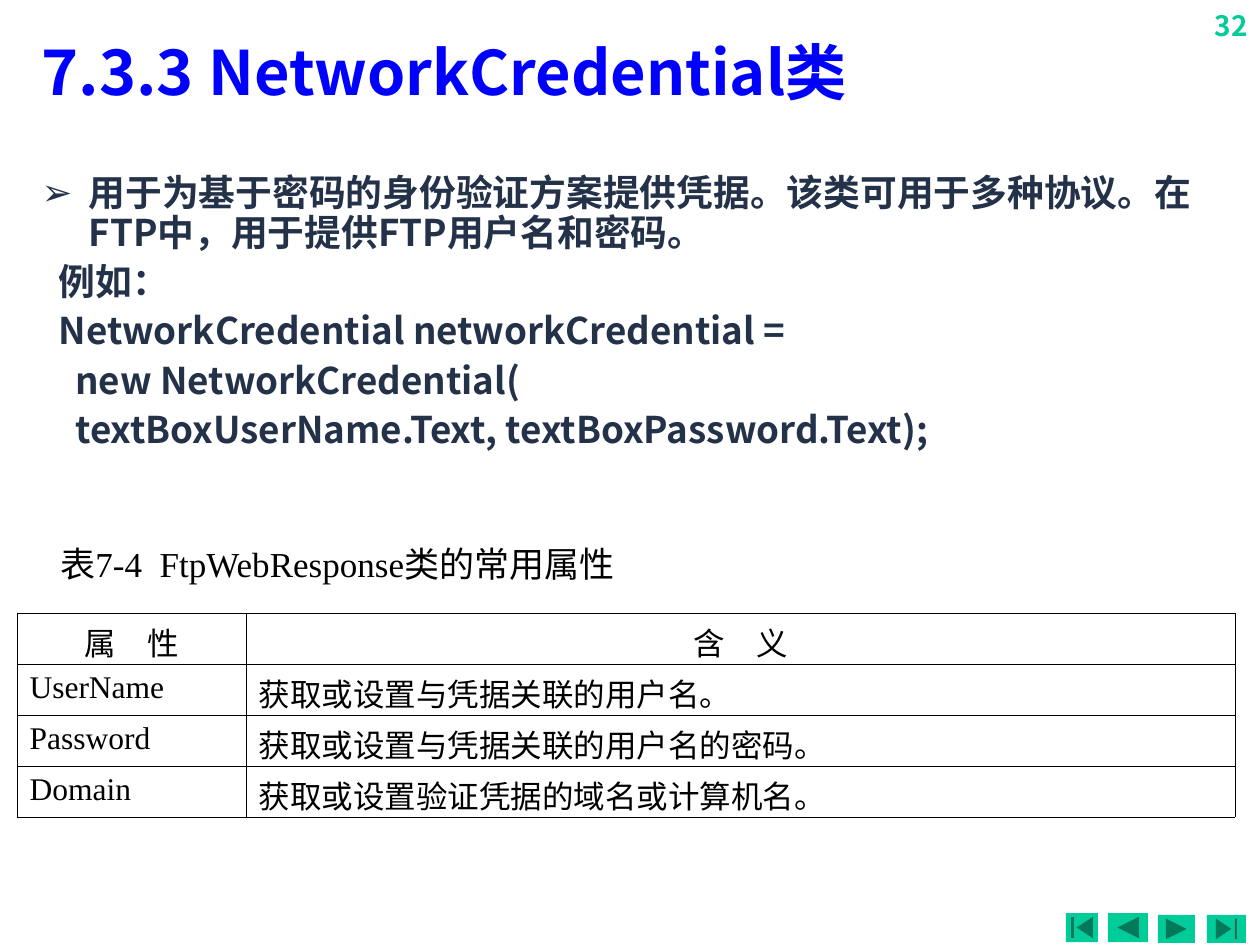
import pptx
import pptx.dml.color
import pptx.enum.shapes
import pptx.enum.text
import pptx.oxml.ns
import pptx.oxml.xmlchemy
import pptx.util

RGBColor = pptx.dml.color.RGBColor
Align = pptx.enum.text.PP_ALIGN
Anchor = pptx.enum.text.MSO_ANCHOR
Shape = pptx.enum.shapes.MSO_SHAPE
qn = pptx.oxml.ns.qn

BLUE = RGBColor(0x00, 0x00, 0xFF)
NAVY = RGBColor(0x23, 0x32, 0x49)
GREEN = RGBColor(0x00, 0xCC, 0x99)
BLACK = RGBColor(0x00, 0x00, 0x00)

SANS = "Noto Sans CJK SC"
SERIF = "Times New Roman"


def px(length):
    """Turn pixels (126 to the inch) into EMU."""
    return pptx.util.Emu(round(length * 914400 / 126))


def add_xml(parent, tag, **attributes):
    child = pptx.oxml.xmlchemy.OxmlElement(tag)
    for name, value in attributes.items():
        child.set(name, str(value))
    parent.append(child)
    return child


class SlideBuilder:
    def __init__(self, presentation):
        self.slide = presentation.slides.add_slide(presentation.slide_layouts[1])

    def style(self, paragraph, size, color, font=SERIF, bold=False, align=Align.LEFT,
              east_asian=None):
        paragraph.alignment = align
        paragraph.font.size = pptx.util.Pt(size)
        paragraph.font.bold = bold
        paragraph.font.color.rgb = color
        paragraph.font.name = font
        if east_asian:
            defaults = paragraph._p.pPr.find(qn("a:defRPr"))
            add_xml(defaults, "a:ea", typeface=east_asian)

    def place(self, shape, left, top, width, height):
        shape.left, shape.top = px(left), px(top)
        shape.width, shape.height = px(width), px(height)

    def title(self, box, sized_runs):
        title = self.slide.shapes.title
        self.place(title, *box)
        frame = title.text_frame
        frame.auto_size = pptx.enum.text.MSO_AUTO_SIZE.NONE
        frame.vertical_anchor = Anchor.MIDDLE
        paragraph = frame.paragraphs[0]
        self.style(paragraph, sized_runs[0][1], BLUE, SANS, True, east_asian=SANS)
        for text, size in sized_runs:
            run = paragraph.add_run()
            run.text = text
            run.font.size = pptx.util.Pt(size)

    def body(self, box, bullet_text, plain_lines):
        body = self.slide.placeholders[1]
        self.place(body, *box)
        frame = body.text_frame
        frame.auto_size = pptx.enum.text.MSO_AUTO_SIZE.NONE
        for index, text in enumerate([bullet_text] + plain_lines):
            paragraph = frame.add_paragraph() if index else frame.paragraphs[0]
            paragraph.text = text
            paragraph.line_spacing = 0.91
            paragraph.space_before = pptx.util.Pt(5.2 if index else 0)
            properties = paragraph._p.get_or_add_pPr()
            if index:
                properties.set("marL", str(px(17)))
                properties.set("indent", "0")
                add_xml(properties, "a:buNone")
            else:
                properties.set("marL", str(px(47)))
                properties.set("indent", str(px(-47)))
                bullet_color = add_xml(properties, "a:buClr")
                add_xml(bullet_color, "a:srgbClr", val=NAVY)
                add_xml(properties, "a:buChar", char="➢")
            self.style(paragraph, 21, NAVY, SANS, True, east_asian=SANS)

    def text(self, box, text, size, color, **style):
        frame = self.slide.shapes.add_textbox(*map(px, box)).text_frame
        frame.word_wrap = True
        frame.vertical_anchor = Anchor.MIDDLE
        frame.paragraphs[0].text = text
        self.style(frame.paragraphs[0], size, color, **style)

    def button(self, kind, box):
        button = self.slide.shapes.add_shape(kind, *map(px, box))
        button.shadow.inherit = False
        button.fill.solid()
        button.fill.fore_color.rgb = GREEN
        button.line.fill.background()

    def table(self, left, top, widths, row_height, rows):
        table = self.slide.shapes.add_table(
            len(rows), len(widths), px(left), px(top),
            px(sum(widths)), px(row_height * len(rows))).table
        table.first_row = table.horz_banding = False
        for column, width in zip(table.columns, widths):
            column.width = px(width)
        for row_index, texts in enumerate(rows):
            for column_index, text in enumerate(texts):
                cell = table.cell(row_index, column_index)
                self.border(cell)
                cell.fill.background()
                paragraph = cell.text_frame.paragraphs[0]
                paragraph.text = text
                self.style(paragraph, 18, BLACK,
                           align=Align.LEFT if row_index else Align.CENTER)

    def border(self, cell):
        properties = cell._tc.get_or_add_tcPr()
        for side in "LRTB":
            line = add_xml(properties, f"a:ln{side}", w=pptx.util.Pt(0.45))
            fill = add_xml(line, "a:solidFill")
            add_xml(fill, "a:srgbClr", val=BLACK)


def main():
    presentation = pptx.Presentation()
    presentation.slide_width, presentation.slide_height = px(1260), px(945)
    builder = SlideBuilder(presentation)

    builder.text((1191, 0, 69, 50), "32", 16, GREEN, font="Noto Sans CJK KR",
                 bold=True, align=Align.RIGHT)
    builder.button(Shape.ACTION_BUTTON_BEGINNING, (1066, 913, 32, 29))
    builder.button(Shape.ACTION_BUTTON_BACK_OR_PREVIOUS, (1108, 913, 40, 29))
    builder.button(Shape.ACTION_BUTTON_FORWARD_OR_NEXT, (1158, 915, 37, 28))
    builder.button(Shape.ACTION_BUTTON_END, (1207, 915, 39, 28))

    builder.title((29, 24, 1200, 93), [("7.3.3 ", 36), ("NetworkCredential类", 35)])
    builder.body(
        (29, 168, 1231, 355),
        "用于为基于密码的身份验证方案提供凭据。该类可用于多种协议。在FTP中，用于提供FTP用户名和密码。",
        ["例如：",
         "NetworkCredential networkCredential =",
         "  new NetworkCredential(",
         "  textBoxUserName.Text, textBoxPassword.Text);"])
    builder.text((48, 536, 784, 55), "表7-4  FtpWebResponse类的常用属性", 20, BLACK)
    builder.table(17, 613, (229, 989), 51, [
        ("属　性", "含　义"),
        ("UserName", "获取或设置与凭据关联的用户名。"),
        ("Password", "获取或设置与凭据关联的用户名的密码。"),
        ("Domain", "获取或设置验证凭据的域名或计算机名。"),
    ])
    presentation.save("out.pptx")


if __name__ == "__main__":
    main()
